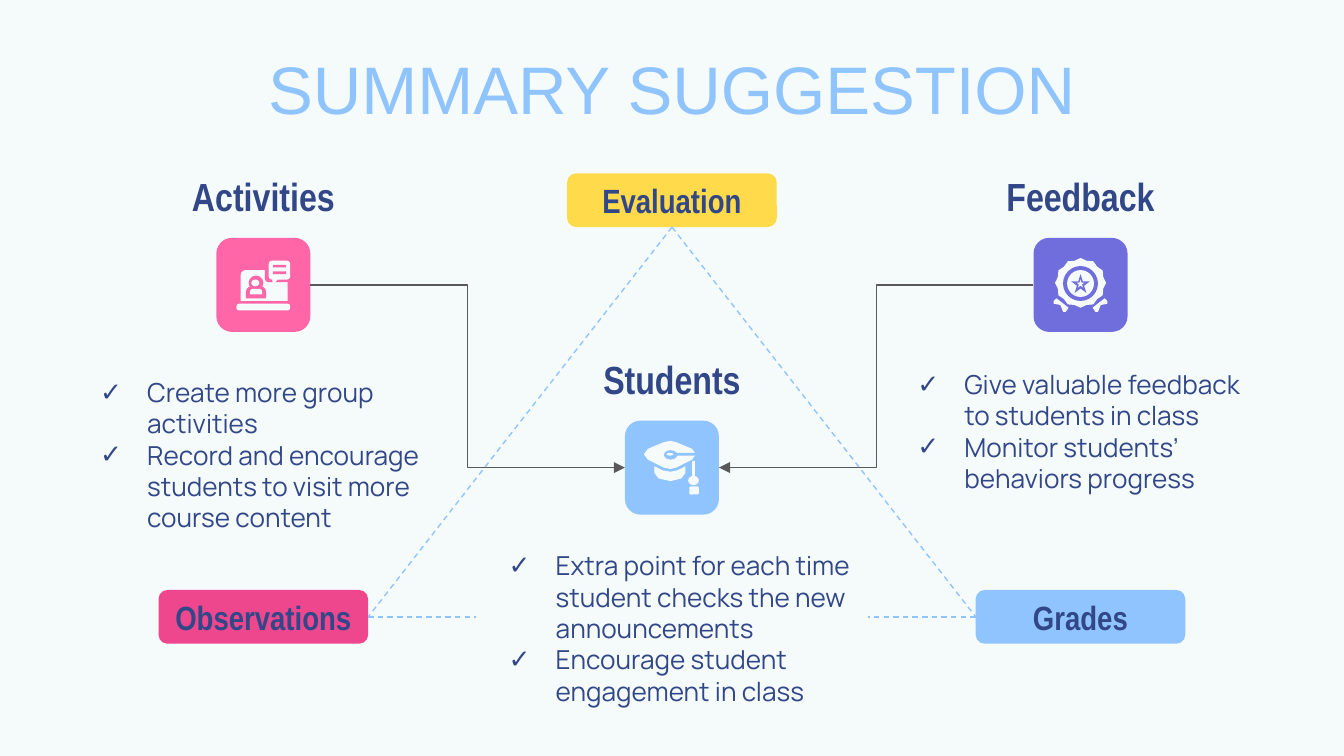
"""Build the summary suggestion slide: three topics with icons inside a triangle of tags."""
from lxml import etree
from pptx import Presentation
from pptx import util as u
from pptx.dml.color import RGBColor
from pptx.enum import dml, shapes, text
from pptx.oxml.ns import qn

THEME = {
    "paper": "F5FBFB", "navy": "324788", "sky": "90C4FE", "pink": "FF66A7",
    "violet": "706EDC", "yellow": "FFDB4C", "rose": "EE478E", "grey": "595959",
    "title": ("Arial", 36, False), "label": ("Arial Narrow", 21, True),
    "tag": ("Arial Narrow", 18, True), "list": ("Manrope", 14, False),
}
FORM = shapes.MSO_SHAPE
TITLE = "SUMMARY SUGGESTION"
SLIDE_W = 10
SLIDE_H = SLIDE_W * 9 / 16
MIDDLE, COLUMN_STEP = 5, 3.04
TILE, LABEL_W, LABEL_H, LIST_W = 0.7, 2.25, 0.3, 2.93
TAG_W, TAG_H, BASE_LINE = 1.56, 0.4, 0.8

LAPTOP = [
    (FORM.ROUND_2_SAME_RECTANGLE, (18, 24, 35, 23), "paper"),
    (FORM.OVAL, (24, 28, 11, 11), "tile"),
    (FORM.ROUND_2_SAME_RECTANGLE, (22, 36, 15, 9), "tile", (0.45, 0)),
    (FORM.OVAL, (26, 31, 6, 5), "paper"),
    (FORM.ROUND_2_SAME_RECTANGLE, (25, 38, 9, 4), "paper", (0.5, 0)),
    (FORM.ROUNDED_RECTANGLE, (15, 49, 40, 5), "paper", (0.4,)),
    (FORM.ROUNDED_RECTANGLE, (36, 15, 21, 18), "tile"),
    (FORM.ROUNDED_RECTANGULAR_CALLOUT, (39, 17, 16, 14), "paper", (-0.31, 0.79, 0.17)),
    (FORM.RECTANGLE, (42, 20, 10, 2), "tile"),
    (FORM.RECTANGLE, (42, 25, 10, 2), "tile"),
]
LEFT_RIBBON = [(17, 45), (15, 47), (15, 49), (20, 50), (22, 55), (24, 55), (26, 52), (21, 48)]
BADGE = [
    (FORM.STAR_12_POINT, (16, 15, 38, 37), "paper", (0.46,)),
    (FORM.OVAL, (22, 21, 26, 26), "tile"),
    (FORM.OVAL, (25, 24, 20, 20), "paper"),
    (FORM.STAR_5_POINT, (28, 27, 14, 14), "tile"),
    (FORM.STAR_5_POINT, (32, 31, 6, 6), "paper"),
    (None, LEFT_RIBBON, "paper"),
    (None, [(70 - x, y) for x, y in LEFT_RIBBON], "paper"),
]
CAP = [
    (None, [(14, 25), (17, 21), (29, 16), (34, 15), (38, 16), (50, 21), (52, 24),
            (52, 26), (50, 29), (38, 35), (34, 36), (29, 35), (17, 29)], "paper"),
    (FORM.OVAL, (29, 22, 10, 7), "tile"),
    (FORM.RECTANGLE, (38, 24, 14, 2), "tile"),
    (FORM.OVAL, (31, 24, 5, 2), "paper"),
    (None, [(22, 34), (28, 37), (34, 38), (39, 37), (45, 34), (45, 39),
            (42, 43), (34, 45), (25, 43), (22, 39)], "paper"),
    (FORM.RECTANGLE, (50, 30, 2, 12), "paper"),
    (FORM.OVAL, (47, 41, 8, 7), "paper"),
    (FORM.ROUNDED_RECTANGLE, (48, 49, 7, 6), "paper"),
]
TOPICS = [
    {"name": "Activities", "column": -1, "top": 1.77, "color": "pink", "icon": LAPTOP,
     "list_top": 2.7, "list_h": 1.29,
     "items": ["Create more group activities",
               "Record and encourage students to visit more course content"]},
    {"name": "Students", "column": 0, "top": 3.13, "color": "sky", "icon": CAP,
     "list_top": 3.99, "list_h": 1.19,
     "items": ["Extra point for each time student checks the new announcements",
               "Encourage student engagement in class"]},
    {"name": "Feedback", "column": 1, "top": 1.77, "color": "violet", "icon": BADGE,
     "list_top": 2.64, "list_h": 1.19,
     "items": ["Give valuable feedback to students in class",
               "Monitor students’ behaviors progress"]},
]
TAGS = [("Evaluation", 0, 1.29, "yellow"), ("Observations", -1, 4.39, "rose"),
        ("Grades", 1, 4.39, "sky")]


def rgb(name):
    return RGBColor.from_string(THEME[name])


def centered(column, width):
    return MIDDLE + column * COLUMN_STEP - width / 2


def place(box, left, top, width, height):
    box.left, box.top = u.Inches(left), u.Inches(top)
    box.width, box.height = u.Inches(width), u.Inches(height)


def paint(shape, color):
    shape.shadow.inherit = False
    shape.fill.solid()
    shape.fill.fore_color.rgb = rgb(color)
    shape.line.fill.background()


def add_bullet(para):
    props = para._p.get_or_add_pPr()
    props.set("marL", str(u.Inches(0.5)))
    props.set("indent", str(u.Inches(-0.35)))
    color = etree.SubElement(props, qn("a:buClr"))
    etree.SubElement(color, qn("a:srgbClr"), val=THEME["navy"])
    etree.SubElement(props, qn("a:buChar"), char="✓")


def write(box, lines, style, color="navy", bullets=False):
    frame = box.text_frame
    frame.text = "\n".join(lines)
    frame.word_wrap = True
    frame.auto_size = text.MSO_AUTO_SIZE.NONE
    frame.vertical_anchor = text.MSO_ANCHOR.TOP if bullets else text.MSO_ANCHOR.MIDDLE
    frame.margin_left = frame.margin_right = u.Inches(0.1)
    frame.margin_top = frame.margin_bottom = u.Inches(0.1)
    for para in frame.paragraphs:
        para.alignment = text.PP_ALIGN.LEFT if bullets else text.PP_ALIGN.CENTER
        para.space_before = u.Pt(0)
        if bullets:
            add_bullet(para)
        name, size, bold = THEME[style]
        para.font.name, para.font.size, para.font.bold = name, u.Pt(size), bold
        para.font.color.rgb = rgb(color)


def add_block(page, left, top, width, height, color):
    block = page.shapes.add_shape(FORM.ROUNDED_RECTANGLE, 0, 0, 0, 0)
    place(block, left, top, width, height)
    paint(block, color)
    return block


def draw_icon(page, tile, parts, tile_color):
    unit = u.Inches(0.01)
    for form, outline, color, *adjust in parts:
        if form is None:
            builder = page.shapes.build_freeform(*outline[0], scale=unit)
            builder.add_line_segments(outline[1:], close=True)
            part = builder.convert_to_shape(tile.left, tile.top)
        else:
            x, y, width, height = (unit * value for value in outline)
            part = page.shapes.add_shape(form, tile.left + x, tile.top + y, width, height)
            for index, value in enumerate(adjust[0] if adjust else ()):
                part.adjustments[index] = value
        paint(part, tile_color if color == "tile" else color)


def add_link(page, start, start_side, end, end_side=None, arrow=False):
    kind = shapes.MSO_CONNECTOR.ELBOW if arrow else shapes.MSO_CONNECTOR.STRAIGHT
    end_x, end_y = end if end_side is None else (0, 0)
    link = page.shapes.add_connector(kind, 0, 0, end_x, end_y)
    link.begin_connect(start, start_side)
    if end_side is not None:
        link.end_connect(end, end_side)
    link.line.width = u.Pt(0.75)
    link.line.color.rgb = rgb("grey" if arrow else "sky")
    if arrow:
        etree.SubElement(link.line._get_or_add_ln(), qn("a:tailEnd"), type="triangle")
    else:
        link.line.dash_style = dml.MSO_LINE.DASH
    etree.SubElement(link._element.spPr, qn("a:effectLst"))


def main():
    deck = Presentation()
    deck.slide_width, deck.slide_height = u.Inches(SLIDE_W), u.Inches(SLIDE_H)
    page = deck.slides.add_slide(deck.slide_layouts[4])
    page.background.fill.solid()
    page.background.fill.fore_color.rgb = rgb("paper")
    title, *bodies, spare = page.placeholders
    spare._element.getparent().remove(spare._element)
    place(title, 0.5, 0.45, 9, 0.41)
    write(title, [TITLE], "title", "sky")

    tiles = {}
    for topic, body in zip(TOPICS, bodies):
        column, top = topic["column"], topic["top"]
        tile = add_block(page, centered(column, TILE), top, TILE, TILE, topic["color"])
        draw_icon(page, tile, topic["icon"], topic["color"])
        label = page.shapes.add_textbox(0, 0, 0, 0)
        place(label, centered(column, LABEL_W), top - 0.46, LABEL_W, LABEL_H)
        write(label, [topic["name"]], "label")
        place(body, centered(column, LIST_W), topic["list_top"], LIST_W, topic["list_h"])
        write(body, topic["items"], "list", bullets=True)
        tiles[topic["name"]] = tile

    tags = {}
    for name, column, top, color in TAGS:
        tags[name] = add_block(page, centered(column, TAG_W), top, TAG_W, TAG_H, color)
        write(tags[name], [name], "tag")

    add_link(page, tiles["Activities"], 3, tiles["Students"], 1, arrow=True)
    add_link(page, tiles["Feedback"], 1, tiles["Students"], 3, arrow=True)
    for name, side, direction in (("Observations", 3, 1), ("Grades", 1, -1)):
        tag = tags[name]
        edge = tag.left + (tag.width if side == 3 else 0)
        add_link(page, tags["Evaluation"], 2, tag, side)
        add_link(page, tag, side, (edge + direction * u.Inches(BASE_LINE),
                                   tag.top + tag.height // 2))
    deck.save("out.pptx")


if __name__ == "__main__":
    main()
